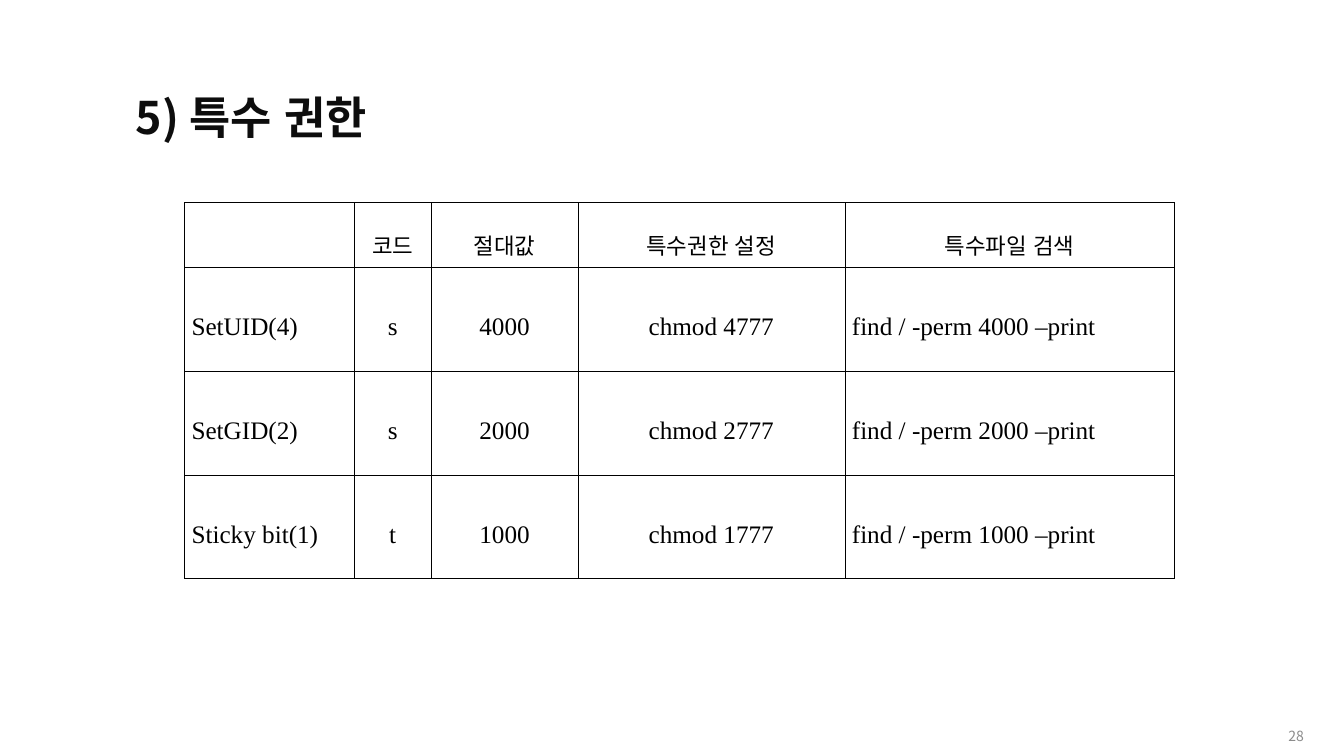
from lxml import etree
from pptx import Presentation
from pptx import util as u
from pptx.dml.color import RGBColor
from pptx.enum import lang, text
from pptx.oxml import ns

PX = 9144  # EMU per px, 100 px to the inch
BLACK = RGBColor(0x00, 0x00, 0x00)
TITLE_INK = RGBColor(0x0D, 0x0D, 0x0D)
PAGE_GREY = RGBColor(0x8C, 0x8C, 0x8C)
SANS = "Noto Sans CJK KR"
SERIF = "Times New Roman"
BORDER_PT = 0.28

COLUMN_WIDTHS = [168, 77, 145, 265, 327]
ROW_HEIGHTS = [64, 103, 103, 103]
HEADERS = ["", "코드", "절대값", "특수권한 설정", "특수파일 검색"]
PERMISSIONS = [("SetUID(4)", "s", 4), ("SetGID(2)", "s", 2), ("Sticky bit(1)", "t", 1)]


def px(length):
    return u.Emu(length * PX)


def write(frame, words, size, font, color, align, spacing=1.0, bold=False):
    paragraph = frame.paragraphs[0]
    paragraph.text = words
    paragraph.alignment = align
    paragraph.line_spacing = spacing
    for run in paragraph.runs:
        run.font.size = u.Pt(size)
        run.font.name = font
        run.font.bold = bold
        run.font.color.rgb = color
        run.font.language_id = lang.MSO_LANGUAGE_ID.KOREAN


def add_label(slide, left, top, width, height, words, anchor, **style):
    frame = slide.shapes.add_textbox(px(left), px(top), px(width), px(height)).text_frame
    frame.word_wrap = True
    frame.vertical_anchor = anchor
    write(frame, words, **style)


def add_borders(cell):
    properties = cell._tc.get_or_add_tcPr()
    for position, side in enumerate(("lnL", "lnR", "lnT", "lnB")):
        line = etree.Element(ns.qn(f"a:{side}"), w=str(u.Pt(BORDER_PT)))
        fill = etree.SubElement(line, ns.qn("a:solidFill"))
        etree.SubElement(fill, ns.qn("a:srgbClr"), val=str(BLACK))
        properties.insert(position, line)


def fill_cell(cell, words, size, font, align):
    cell.fill.background()
    cell.vertical_anchor = text.MSO_ANCHOR.MIDDLE
    cell.margin_left = cell.margin_right = px(7)
    cell.margin_top = cell.margin_bottom = px(2)
    write(cell.text_frame, words, size, font, BLACK, align, spacing=1.6)
    add_borders(cell)


def add_permission_table(slide, left, top):
    rows = [HEADERS] + [
        [name, code, f"{digit}000", f"chmod {digit}777", f"find / -perm {digit}000 –print"]
        for name, code, digit in PERMISSIONS
    ]
    table = slide.shapes.add_table(
        len(rows), len(HEADERS), px(left), px(top),
        px(sum(COLUMN_WIDTHS)), px(sum(ROW_HEIGHTS)),
    ).table
    table.first_row = table.horz_banding = False
    for column, width in zip(table.columns, COLUMN_WIDTHS):
        column.width = px(width)
    for row, height in zip(table.rows, ROW_HEIGHTS):
        row.height = px(height)

    for r, row in enumerate(rows):
        for c, words in enumerate(row):
            is_header = r == 0
            # The name and search columns are justified below the header
            justified = not is_header and c in (0, len(HEADERS) - 1)
            fill_cell(
                table.cell(r, c), words,
                size=16 if is_header else 18,
                font=SANS if is_header and c > 2 else SERIF,
                align=text.PP_ALIGN.JUSTIFY if justified else text.PP_ALIGN.CENTER,
            )


def main():
    deck = Presentation()
    deck.slide_width, deck.slide_height = px(1333), px(750)
    slide = deck.slides.add_slide(deck.slide_layouts[6])

    # Permission table
    add_permission_table(slide, 183, 201)

    # Title
    add_label(slide, 125, 57, 866, 37, "5) 특수 권한", text.MSO_ANCHOR.TOP,
              size=32, font=SANS, color=TITLE_INK, align=text.PP_ALIGN.JUSTIFY,
              spacing=1.5, bold=True)

    # Page number
    add_label(slide, 1181, 711, 122, 39, "28", text.MSO_ANCHOR.MIDDLE,
              size=10, font=SANS, color=PAGE_GREY, align=text.PP_ALIGN.RIGHT)

    deck.save("out.pptx")


if __name__ == "__main__":
    main()
